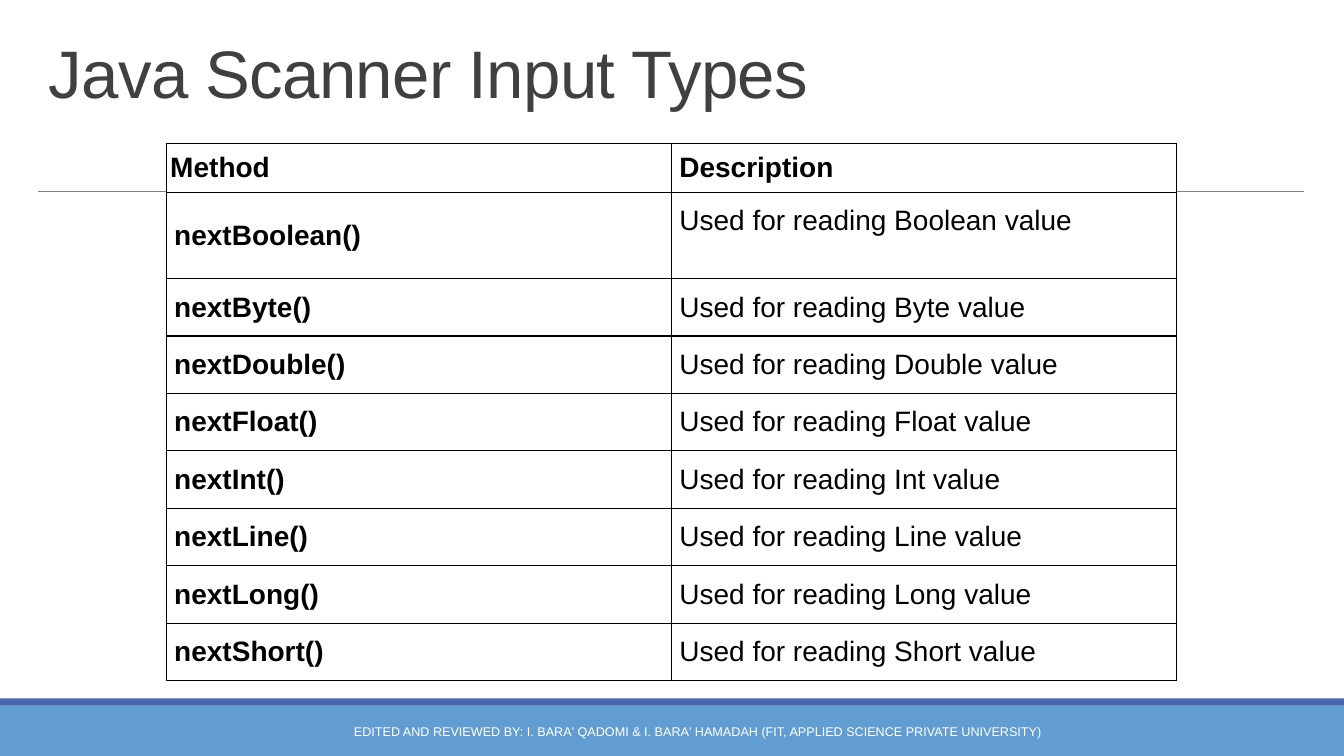
from lxml.etree import SubElement
from pptx import Presentation
from pptx.dml.color import RGBColor
from pptx.enum.shapes import MSO_CONNECTOR, MSO_SHAPE
from pptx.enum.text import MSO_ANCHOR, PP_ALIGN
from pptx.oxml.ns import qn
from pptx.util import Cm, Pt

WHITE = RGBColor(0xFF, 0xFF, 0xFF)
BLACK = RGBColor(0x00, 0x00, 0x00)
TITLE_GREY = RGBColor(0x40, 0x40, 0x40)
RULE_GREY = RGBColor(0x80, 0x80, 0x80)
FOOTER_BLUE = RGBColor(0x62, 0x9D, 0xD1)
STRIPE_BLUE = RGBColor(0x4A, 0x66, 0xAC)

SLIDE_WIDTH, SLIDE_HEIGHT = 33.87, 19.05
VALUE_TYPES = ["Boolean", "Byte", "Double", "Float", "Int", "Line", "Long", "Short"]
ROW_HEIGHTS = [1.21, 2.16] + [1.38] * 7


def write_text(frame, text, size=20, color=BLACK, bold=False, align=PP_ALIGN.LEFT,
               anchor=MSO_ANCHOR.MIDDLE, line_spacing=1.0, tracking=None):
    frame.vertical_anchor = anchor
    para = frame.paragraphs[0]
    para.alignment = align
    para.line_spacing = line_spacing
    span = para.add_run()
    span.text = text
    span.font.name = "Arial"
    span.font.size = Pt(size)
    span.font.bold = bold
    span.font.color.rgb = color
    if tracking is not None:
        span.font._element.set("spc", str(int(tracking * 100)))


class SlideBuilder:
    def __init__(self, page):
        self.page = page
        self.shapes = page.shapes

    def band(self, top, height, color):
        box = self.shapes.add_shape(MSO_SHAPE.RECTANGLE, 0, Cm(top), Cm(SLIDE_WIDTH), Cm(height))
        box.shadow.inherit = False
        box.fill.solid()
        box.fill.fore_color.rgb = color
        box.line.fill.background()

    def rule(self, left, right, top):
        line = self.shapes.add_connector(MSO_CONNECTOR.STRAIGHT, Cm(left), Cm(top), Cm(right), Cm(top))
        line.line.color.rgb = RULE_GREY
        line.line.width = Pt(0.5)
        SubElement(line._element.spPr, qn("a:effectLst"))

    def title(self, text, left, top, width, height):
        box = self.shapes.title
        box.left, box.top, box.width, box.height = Cm(left), Cm(top), Cm(width), Cm(height)
        frame = box.text_frame
        frame.word_wrap = True
        frame.margin_top = Cm(0.3)
        write_text(frame, text, size=48, color=TITLE_GREY, anchor=MSO_ANCHOR.TOP,
                   line_spacing=0.85, tracking=-0.5)

    def footer(self, text, left, top, width, height):
        box = self.shapes.add_textbox(Cm(left), Cm(top), Cm(width), Cm(height))
        box.text_frame.word_wrap = True
        write_text(box.text_frame, text, size=9, color=WHITE, align=PP_ALIGN.CENTER)

    def table(self, rows, heights, left, top, column_width):
        columns = len(rows[0])
        table = self.shapes.add_table(len(rows), columns, Cm(left), Cm(top),
                                      Cm(column_width * columns), Cm(sum(heights))).table
        table.first_row = table.horz_banding = False
        for column in table.columns:
            column.width = Cm(column_width)
        for row_index, (texts, height) in enumerate(zip(rows, heights)):
            table.rows[row_index].height = Cm(height)
            for column_index, text in enumerate(texts):
                is_header = row_index == 0
                is_method = column_index == 0
                cell = table.cell(row_index, column_index)
                cell.margin_left = cell.margin_right = Cm(0.1 if is_header and is_method else 0.2)
                cell.margin_top = cell.margin_bottom = Cm(0.2 if is_header else 0.3)
                write_text(cell.text_frame, text, bold=is_header or is_method)
                # The tall first entry keeps its description at the top
                at_top = row_index == 1 and not is_method
                cell.vertical_anchor = MSO_ANCHOR.TOP if at_top else MSO_ANCHOR.MIDDLE
                self.cell_borders(cell)
                cell.fill.solid()
                cell.fill.fore_color.rgb = WHITE

    def cell_borders(self, cell):
        properties = cell._tc.get_or_add_tcPr()
        for side in ("a:lnL", "a:lnR", "a:lnT", "a:lnB"):
            border = SubElement(properties, qn(side), w=str(Pt(1)))
            fill = SubElement(border, qn("a:solidFill"))
            SubElement(fill, qn("a:srgbClr"), val=str(BLACK))


def main():
    deck = Presentation()
    deck.slide_width, deck.slide_height = Cm(SLIDE_WIDTH), Cm(SLIDE_HEIGHT)
    builder = SlideBuilder(deck.slides.add_slide(deck.slide_layouts[5]))

    # Footer bands and title rule
    builder.band(17.78, 1.27, FOOTER_BLUE)
    builder.band(17.6, 0.18, STRIPE_BLUE)
    builder.rule(0.97, 32.87, 4.82)

    # Title and footer text
    builder.title("Java Scanner Input Types", 0.97, 0.79, 31.9, 4.04)
    builder.footer("EDITED AND REVIEWED BY: I. BARA' QADOMI & I. BARA' HAMADAH "
                   "(FIT, APPLIED SCIENCE PRIVATE UNIVERSITY)", 7.9, 17.93, 19.35, 1.02)

    # Table of scanner methods
    rows = [("Method", "Description")]
    rows += [(f"next{kind}()", f"Used for reading {kind} value") for kind in VALUE_TYPES]
    builder.table(rows, ROW_HEIGHTS, 4.19, 3.61, 12.73)

    deck.save("out.pptx")


if __name__ == "__main__":
    main()
